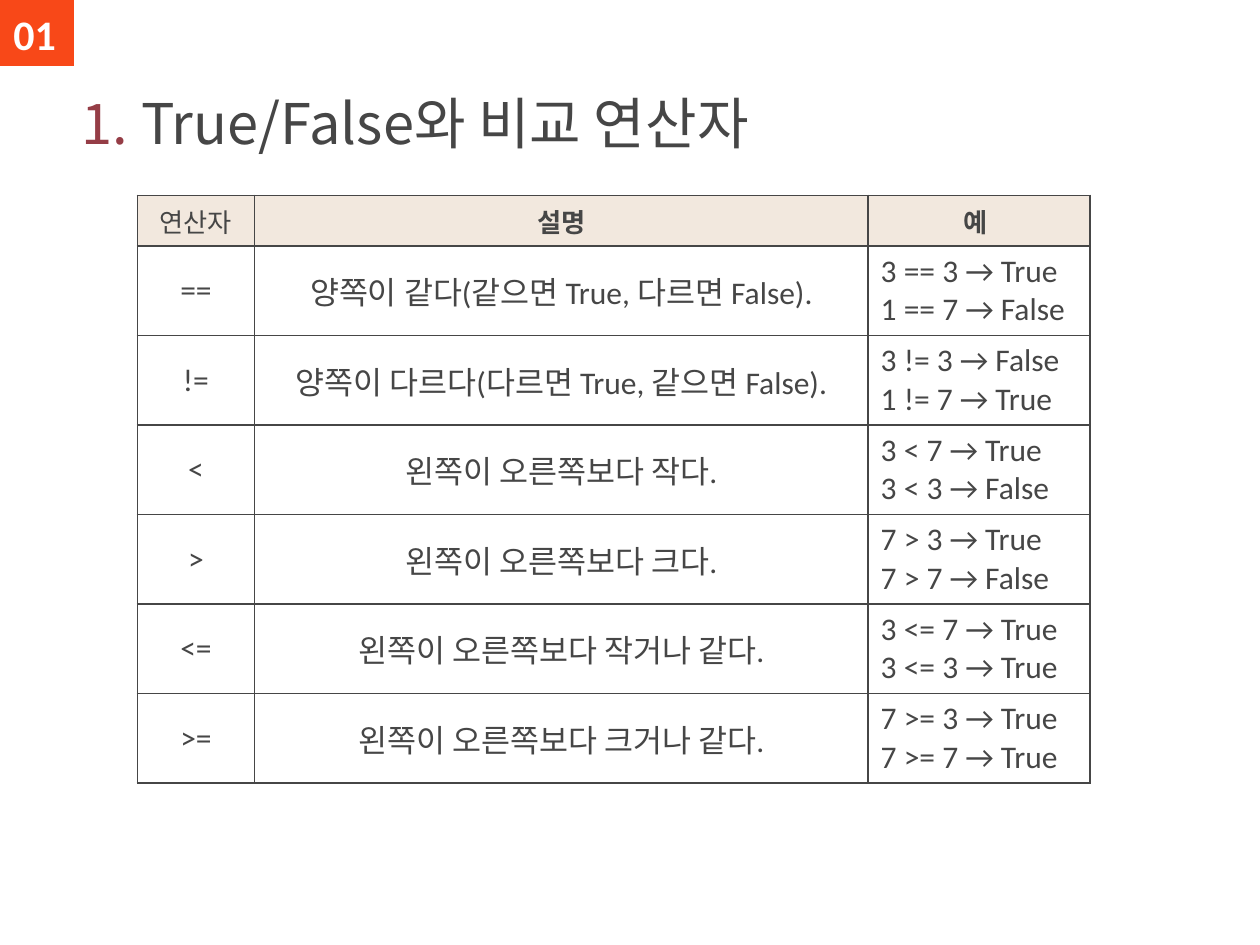
from pptx import Presentation
from pptx import util as u
from pptx.dml.color import RGBColor
from pptx.enum import shapes, text
from pptx.oxml import parse_xml
from pptx.oxml.ns import nsdecls

MID = text.MSO_ANCHOR.MIDDLE
LEFT, CENTER = text.PP_ALIGN.LEFT, text.PP_ALIGN.CENTER
COLS, ROWS = 100, 75


def color(code):
    return RGBColor.from_string(code)


class Deck:
    ink, red, badge, head, white = "464646", "953D46", "F84818", "F2E8DE", "FFFFFF"
    body, cjk = "Calibri", "Noto Sans CJK KR"

    def __init__(self):
        self.prs = Presentation()
        self.prs.slide_width, self.prs.slide_height = u.Inches(10), u.Inches(7.5)
        self.slide = self.prs.slides.add_slide(self.prs.slide_layouts[5])

    def x(self, n):
        return round(self.prs.slide_width * n / COLS)

    def y(self, n):
        return round(self.prs.slide_height * n / ROWS)

    def box(self, x, y, w, h):
        return self.x(x), self.y(y), self.x(w), self.y(h)

    def style(self, font, code, **form):
        for key, val in form.items():
            setattr(font, key, val)
        font.color.rgb = color(code)

    def title(self, parts, *area):
        shape = self.slide.shapes.title
        for key, val in zip(("left", "top", "width", "height"), self.box(*area)):
            setattr(shape, key, val)
        frame = shape.text_frame
        frame.auto_size = text.MSO_AUTO_SIZE.NONE
        frame.vertical_anchor = text.MSO_ANCHOR.BOTTOM
        para = frame.paragraphs[0]
        para.alignment = LEFT
        for words, code in parts:
            run = para.add_run()
            run.text = words
            self.style(run.font, code, name=self.cjk, size=u.Pt(32))

    def block(self, kind, code, *area):
        shape = self.slide.shapes.add_shape(kind, *self.box(*area))
        shape.shadow.inherit = False
        shape.fill.solid()
        shape.fill.fore_color.rgb = color(code)
        shape.line.fill.background()

    def label(self, words, size, code, *area):
        frame = self.slide.shapes.add_textbox(*self.box(*area)).text_frame
        frame.word_wrap = True
        para = frame.paragraphs[0]
        para.text, para.alignment = words, CENTER
        self.style(para.font, code, name=self.body, size=u.Pt(size), bold=True)

    def border(self, cell):
        props = cell._tc.get_or_add_tcPr()
        for side in "LRTB":
            props.append(parse_xml(
                f'<a:ln{side} {nsdecls("a")} w="12700"><a:solidFill>'
                f'<a:srgbClr val="{self.ink}"/></a:solidFill></a:ln{side}>'))

    def cell(self, cell, words, top, col):
        self.border(cell)
        if top:
            cell.fill.solid()
            cell.fill.fore_color.rgb = color(self.head)
        else:
            cell.fill.background()
        if not top and col < 2:
            cell.vertical_anchor = MID
        cell.text = words
        for para in cell.text_frame.paragraphs:
            para.alignment = CENTER if top or col < 2 else LEFT
            self.style(para.font, self.ink, name=self.body,
                       size=u.Pt(15 if top else 18), bold=top and col > 0)

    def table(self, data, x, y, wide, high):
        area = self.box(x, y, sum(wide), sum(high))
        grid = self.slide.shapes.add_table(len(high), len(wide), *area).table
        grid.first_row = grid.horz_banding = False
        for col, w in zip(grid.columns, wide):
            col.width = self.x(w)
        for row, h in zip(grid.rows, high):
            row.height = self.y(h)
        for r, line in enumerate(data):
            for c, words in enumerate(line):
                self.cell(grid.cell(r, c), words, r == 0, c)


DATA = [
    ("연산자", "설명", "예 "),
    ("==", "양쪽이 같다(같으면 True, 다르면 False).", "3 == 3 → True\n1 == 7 → False"),
    ("!=", "양쪽이 다르다(다르면 True, 같으면 False).", "3 != 3 → False\n1 != 7 → True"),
    ("<", "왼쪽이 오른쪽보다 작다.", "3 < 7 → True\n3 < 3 → False"),
    (">", "왼쪽이 오른쪽보다 크다.", "7 > 3 → True\n7 > 7 → False"),
    ("<=", "왼쪽이 오른쪽보다 작거나 같다.", "3 <= 7 → True\n3 <= 3 → True"),
    (">=", "왼쪽이 오른쪽보다 크거나 같다.", "7 >= 3 → True\n7 >= 7 → True"),
]


def main():
    deck = Deck()
    deck.table(DATA, 10.9, 15.5, [9.3, 48.7, 17.6], [4] + [7.1] * 6)
    deck.title([("1. ", deck.red), ("True/False와 비교 연산자", deck.ink)],
               5.5, 4.1, 88.7, 8.8)
    deck.block(shapes.MSO_SHAPE.FLOWCHART_PROCESS, deck.badge, 0, 0, 5.9, 5.2)
    deck.label("01", 24, deck.white, -1.2, 0.2, 7.9, 5)
    deck.prs.save("out.pptx")


if __name__ == "__main__":
    main()
